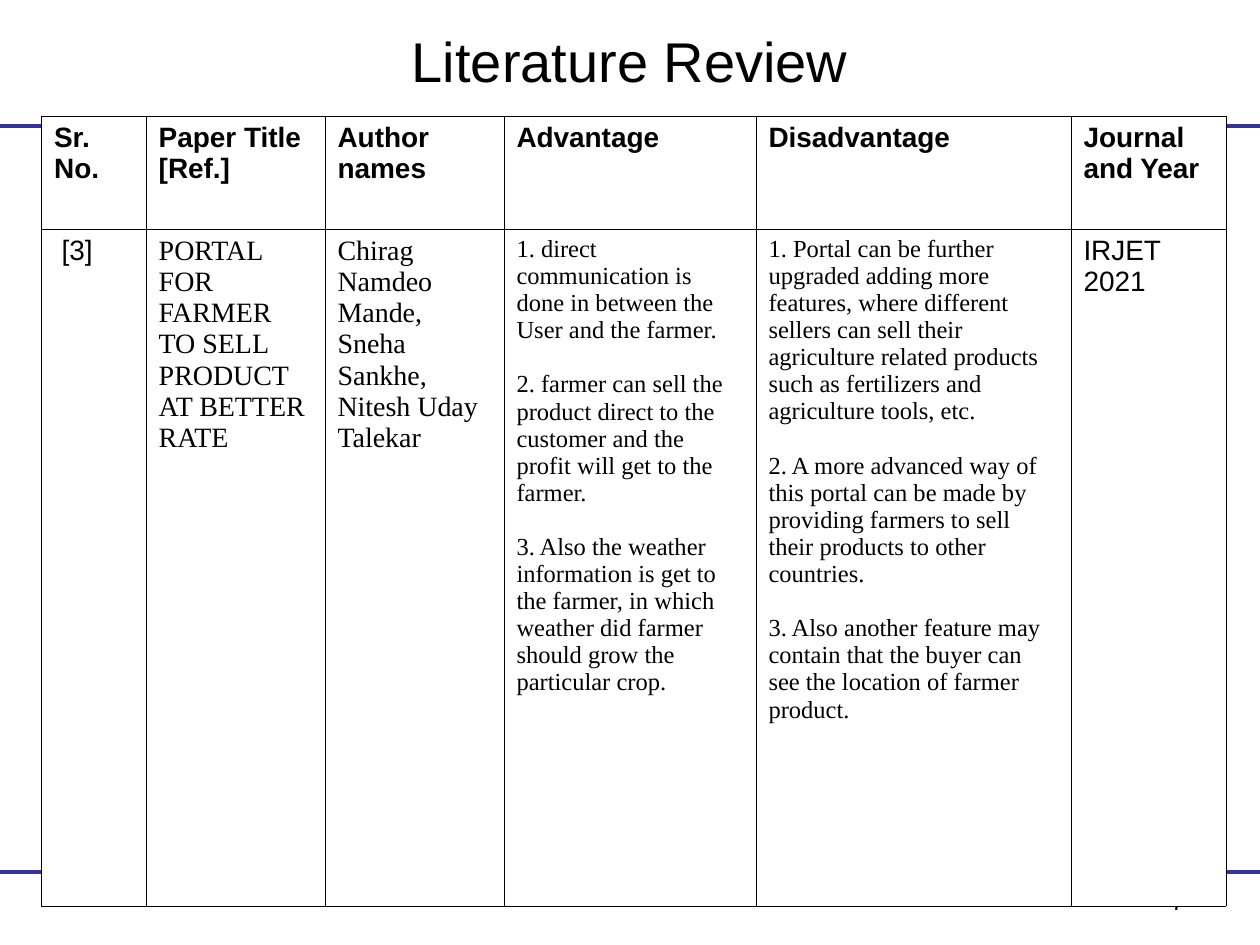
from dataclasses import dataclass

import pptx
import pptx.dml.color
import pptx.enum.shapes
import pptx.enum.text
import pptx.oxml
import pptx.oxml.ns
import pptx.util
from pptx.util import Inches

PP_ALIGN = pptx.enum.text.PP_ALIGN
ANCHOR = pptx.enum.text.MSO_ANCHOR


@dataclass(frozen=True)
class Theme:
    ink: str = "000000"
    paper: str = "FFFFFF"
    rule: str = "333399"
    sans: str = "Arial"
    serif: str = "Times New Roman"
    title: float = 32
    body: float = 16
    small: float = 14
    item_gap: float = 15.5
    rule_width: float = 2.25
    border_width: float = 0.45


THEME = Theme()

HEADERS = ["Sr. No.", "Paper Title [Ref.]", "Author names", "Advantage",
           "Disadvantage", "Journal and Year"]
COL_WIDTHS = [0.83, 1.42, 1.42, 2, 2.5, 1.23]
ROW_HEIGHTS = [0.9, 5.37]

HEADER_STYLE = dict(name=THEME.sans, size=THEME.body, bold=True)
SANS_STYLE = dict(name=THEME.sans, size=THEME.body, bold=False)
SERIF_STYLE = dict(name=THEME.serif, size=THEME.body, bold=False)
LIST_STYLE = dict(name=THEME.serif, size=THEME.small, bold=False)

# Each entry: paragraphs, font format, space between paragraphs
PAPER = [
    (["[3]"], SANS_STYLE, 0),
    (["PORTAL FOR FARMER TO SELL PRODUCT AT BETTER RATE"], SERIF_STYLE, 0),
    (["Chirag Namdeo Mande,", "Sneha Sankhe, Nitesh Uday Talekar"],
     SERIF_STYLE, 0),
    (["1. direct communication is done in between the User and the farmer.",
      "2. farmer can sell the product direct to the customer and the profit "
      "will get to the farmer.",
      "3. Also the weather information is get to the farmer, in which weather "
      "did farmer should grow the particular crop."],
     LIST_STYLE, THEME.item_gap),
    (["1. Portal can be further upgraded adding more features, where different "
      "sellers can sell their agriculture related products such as fertilizers "
      "and agriculture tools, etc.",
      "2. A more advanced way of this portal can be made by providing farmers "
      "to sell their products to other countries.",
      "3. Also another feature may contain that the buyer can see the location "
      "of farmer product."],
     LIST_STYLE, THEME.item_gap),
    (["IRJET", "2021"], SANS_STYLE, 0),
]


def rgb(value):
    return pptx.dml.color.RGBColor.from_string(value)


def write(tf, lines, style, align=PP_ALIGN.LEFT, gap=0):
    """Fill a text frame with one formatted paragraph per line."""
    for i, line in enumerate(lines):
        p = tf.paragraphs[0] if i == 0 else tf.add_paragraph()
        p.alignment = align
        p.space_before = pptx.util.Pt(gap if i else 0)
        r = p.add_run()
        r.text = line
        for key, value in style.items():
            setattr(r.font, key,
                    pptx.util.Pt(value) if key == "size" else value)
        r.font.color.rgb = rgb(THEME.ink)


def add_rule(s, left, top, width):
    sp = s.shapes.add_connector(
        pptx.enum.shapes.MSO_CONNECTOR.STRAIGHT,
        Inches(left), Inches(top), Inches(left + width), Inches(top))
    sp.line.color.rgb = rgb(THEME.rule)
    sp.line.width = pptx.util.Pt(THEME.rule_width)
    sp._element.spPr.append(pptx.oxml.parse_xml(
        f"<a:effectLst {pptx.oxml.ns.nsdecls('a')}/>"))


def add_title(s, left, top, width, height):
    sp = s.shapes.title
    sp.left, sp.top = Inches(left), Inches(top)
    sp.width, sp.height = Inches(width), Inches(height)
    tf = sp.text_frame
    tf.auto_size = pptx.enum.text.MSO_AUTO_SIZE.NONE
    tf.vertical_anchor = ANCHOR.MIDDLE
    write(tf, ["Literature Review"],
          dict(name=THEME.sans, size=THEME.title), PP_ALIGN.CENTER)


def add_page_number(s, left, top, width, height):
    sp = s.shapes.add_textbox(Inches(left), Inches(top),
                              Inches(width), Inches(height))
    sp.text_frame.word_wrap = True
    write(sp.text_frame, ["7"],
          dict(name=THEME.sans, size=THEME.small), PP_ALIGN.RIGHT)


def format_cell(cell):
    """Plain fill and a thin border on all four sides."""
    tcPr = cell._tc.get_or_add_tcPr()
    width = pptx.util.Pt(THEME.border_width)
    for side in ("lnL", "lnR", "lnT", "lnB"):
        tcPr.append(pptx.oxml.parse_xml(
            f'<a:{side} {pptx.oxml.ns.nsdecls("a")} w="{width}"><a:solidFill>'
            f'<a:srgbClr val="{THEME.ink}"/></a:solidFill></a:{side}>'))
    cell.fill.solid()
    cell.fill.fore_color.rgb = rgb(THEME.paper)
    cell.vertical_anchor = ANCHOR.TOP


def add_review_table(s, left, top, width, height):
    rows = [[([text], HEADER_STYLE, 0) for text in HEADERS], PAPER]
    table = s.shapes.add_table(len(rows), len(HEADERS), Inches(left),
                               Inches(top), Inches(width),
                               Inches(height)).table
    table.first_row = table.horz_banding = False
    for col, col_width in zip(table.columns, COL_WIDTHS):
        col.width = Inches(col_width)
    for row, row_height, entries in zip(table.rows, ROW_HEIGHTS, rows):
        row.height = Inches(row_height)
        for cell, (lines, style, gap) in zip(row.cells, entries):
            format_cell(cell)
            write(cell.text_frame, lines, style, gap=gap)
    # The reference number sits slightly in from the column edge
    table.cell(1, 0).margin_left = Inches(0.16)


def build_review_slide(prs):
    s = prs.slides.add_slide(prs.slide_layouts.get_by_name("Title Only"))
    # Rules above and below the content area
    for top in (1, 6.92):
        add_rule(s, 0, top, 10)
    add_title(s, 0.5, 0.13, 9, 0.7)
    add_page_number(s, 7.17, 6.98, 2.33, 0.52)
    # Table lies over the rules and the page number
    add_review_table(s, 0.33, 0.92, sum(COL_WIDTHS), sum(ROW_HEIGHTS))


def main():
    prs = pptx.Presentation()
    prs.slide_width, prs.slide_height = Inches(10), Inches(7.5)
    build_review_slide(prs)
    prs.save("out.pptx")


if __name__ == "__main__":
    main()
